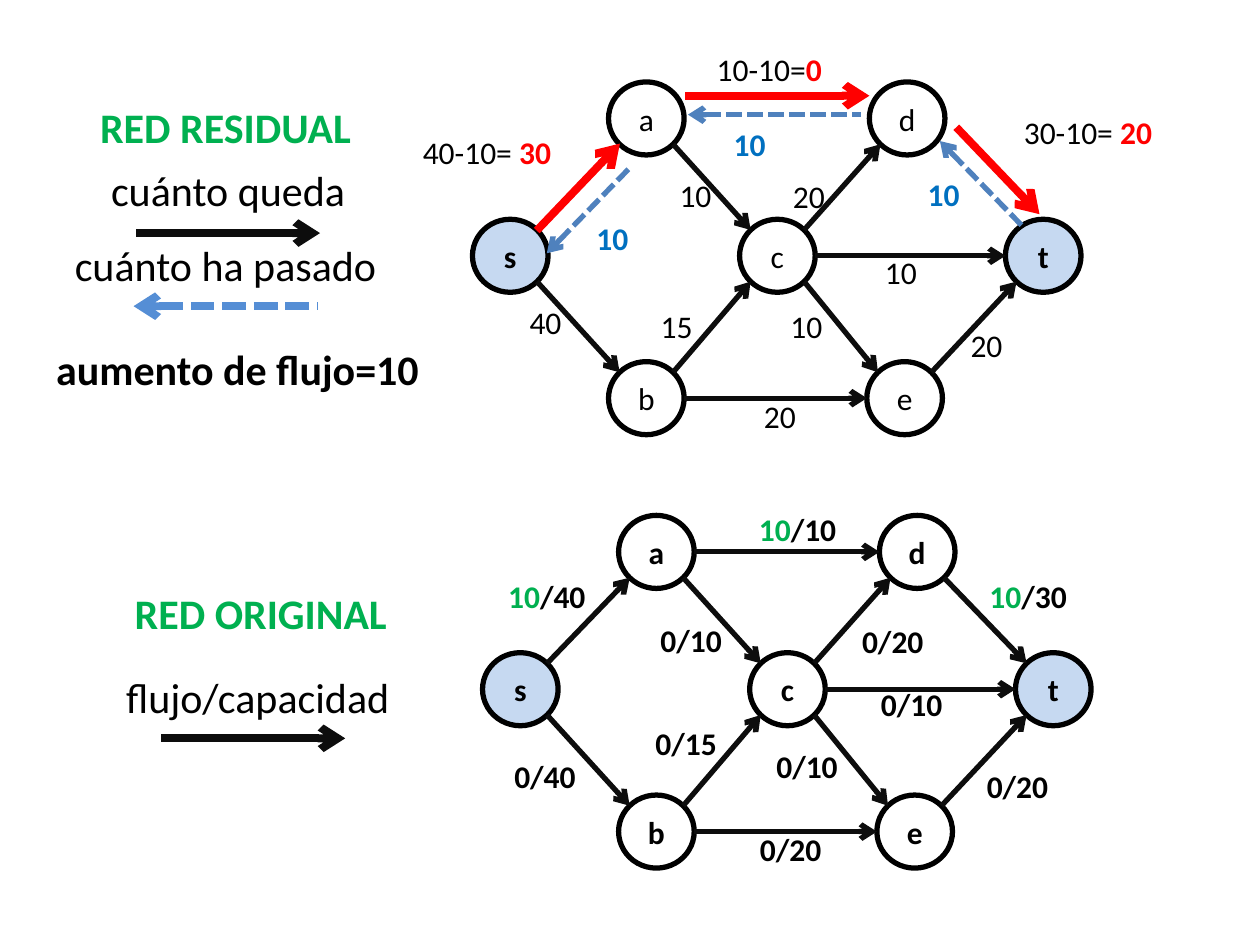
from math import hypot

from lxml import etree
from pptx import Presentation
from pptx.dml.color import RGBColor
from pptx.enum.dml import MSO_LINE
from pptx.enum.shapes import MSO_CONNECTOR, MSO_SHAPE
from pptx.enum.text import MSO_ANCHOR, PP_ALIGN
from pptx.oxml.ns import qn
from pptx.util import Inches, Pt

STRAIGHT, OVAL = MSO_CONNECTOR.STRAIGHT, MSO_SHAPE.OVAL
CENTER, MIDDLE, DASH = PP_ALIGN.CENTER, MSO_ANCHOR.MIDDLE, MSO_LINE.SQUARE_DOT

BLACK = RGBColor(0x00, 0x00, 0x00)
INK = RGBColor(0x0D, 0x0D, 0x0D)
GREEN = RGBColor(0x00, 0xB0, 0x50)
RED = RGBColor(0xFF, 0x00, 0x00)
BLUE = RGBColor(0x00, 0x70, 0xC0)
BACK_FLOW = RGBColor(0x4F, 0x81, 0xBD)
BACK_LEGEND = RGBColor(0x55, 0x8E, 0xD5)
TERMINAL = RGBColor(0xC6, 0xD9, 0xF1)

# Grid of 10 columns by 7.5 rows
WIDTH, HEIGHT = Inches(10), Inches(7.5)
COL, ROW = WIDTH / 10, HEIGHT / 7.5

# Node centres measured from the source node s
NODES = {
    "s": (0, 0), "a": (1.08, -1.09), "b": (1.08, 1.13), "c": (2.12, 0),
    "d": (3.15, -1.09), "e": (3.13, 1.13), "t": (4.23, 0),
}
EDGES = ["sa", "sb", "ad", "ac", "be", "bc", "cd", "ce", "ct", "dt", "et"]
NODE_W, NODE_H = 0.6, 0.58


def sign(value):
    return (value > 0) - (value < 0)


class FlowSlide:
    """Holds the slide and the style of its flow networks."""

    font, label_size, legend_size = "Calibri", 18, 24
    thin, thick = 3, 4.5

    def __init__(self, slide):
        self.shapes = slide.shapes

    def fill_text(self, frame, runs, size):
        """Each run is (text, colour, bold)."""
        frame.word_wrap = False
        paragraph = frame.paragraphs[0]
        paragraph.alignment = CENTER
        paragraph.font.name = self.font
        paragraph.font.size = Pt(size)
        for text, color, bold in runs:
            run = paragraph.add_run()
            run.text = text
            font = paragraph.font if len(runs) == 1 else run.font
            font.color.rgb, font.bold = color, bold

    def text(self, x, y, width, *runs, size=label_size):
        height = 0.4 if size == self.label_size else 0.5
        box = self.shapes.add_textbox(
            round(x * COL), round(y * ROW), round(width * COL), round(height * ROW))
        self.fill_text(box.text_frame, runs, size)

    def legend(self, x, y, width, text, color=BLACK, bold=False):
        self.text(x, y, width, (text, color, bold), size=self.legend_size)

    def arrow(self, start, end, color=INK, weight=thin, backward=False):
        """A backward arrow is dashed and has its head at the start."""
        arrow = self.shapes.add_connector(
            STRAIGHT, round(start[0] * COL), round(start[1] * ROW),
            round(end[0] * COL), round(end[1] * ROW))
        arrow.line.color.rgb, arrow.line.width = color, Pt(weight)
        if backward:
            arrow.line.dash_style = DASH
        properties = arrow._element.spPr
        etree.SubElement(properties.find(qn("a:ln")),
                         qn("a:headEnd" if backward else "a:tailEnd"), type="arrow")
        etree.SubElement(properties, qn("a:effectLst"))

    def node(self, center, name, bold):
        oval = self.shapes.add_shape(
            OVAL, round((center[0] - NODE_W / 2) * COL),
            round((center[1] - NODE_H / 2) * ROW),
            round(NODE_W * COL), round(NODE_H * ROW))
        oval.shadow.inherit = False
        if name in "st":
            oval.fill.solid()
            oval.fill.fore_color.rgb = TERMINAL
        else:
            oval.fill.background()
        oval.line.color.rgb, oval.line.width = BLACK, Pt(self.thin)
        oval.text_frame.vertical_anchor = MIDDLE
        self.fill_text(oval.text_frame, [(name, BLACK, bold)], self.label_size)

    def network(self, origin, edges, bold_nodes):
        centers = {name: (origin[0] + x, origin[1] + y)
                   for name, (x, y) in NODES.items()}
        for name, center in centers.items():
            self.node(center, name, name in bold_nodes)
        for tail, head in edges:
            (x1, y1), (x2, y2) = centers[tail], centers[head]
            # Edges meet the ovals at one of eight compass points
            dx, dy = sign(x2 - x1), sign(y2 - y1)
            reach_x = dx * NODE_W / 2 / hypot(dx, dy)
            reach_y = dy * NODE_H / 2 / hypot(dx, dy)
            self.arrow((x1 + reach_x, y1 + reach_y), (x2 - reach_x, y2 - reach_y))


def residual_network(flow):
    augmented = ["sa", "ad", "dt"]
    flow.network((4.05, 2.03), [e for e in EDGES if e not in augmented], "st")

    # Remaining capacity on the augmenting path
    for start, end in [((4.26, 1.83), (4.92, 1.14)), ((5.44, 0.76), (6.9, 0.76)),
                       ((7.59, 1.01), (8.25, 1.7))]:
        flow.arrow(start, end, RED, flow.thick)
    for x, y, width, operation, rest in [
            (3.25, 1.01, 1.23, "40-10= ", "30"), (5.58, 0.35, 1.05, "10-10=", "0"),
            (8.02, 0.85, 1.23, "30-10= ", "20")]:
        flow.text(x, y, width, (operation, BLACK, False), (rest, RED, True))

    # Flow that can be sent back
    for start, end in [((4.34, 2.01), (5, 1.33)), ((5.46, 0.91), (6.83, 0.91)),
                       ((7.46, 1.12), (8.12, 1.8))]:
        flow.arrow(start, end, BACK_FLOW, backward=True)
    for x, y in [(4.63, 1.69), (5.72, 0.94), (7.26, 1.34)]:
        flow.text(x, y, 0.46, ("10", BLUE, True))

    # Untouched capacities
    for x, y, capacity in [
            (5.29, 1.35, "10"), (6.92, 1.96, "10"), (7.6, 2.54, "20"),
            (4.1, 2.36, "40"), (5.96, 3.1, "20"), (5.14, 2.39, "15"),
            (6.19, 1.36, "20"), (6.17, 2.39, "10")]:
        flow.text(x, y, 0.46, (capacity, BLACK, False))

    # Legend
    flow.legend(0.58, 0.76, 2.42, "RED RESIDUAL", GREEN, True)
    flow.legend(0.77, 1.26, 2.08, "cuánto queda")
    flow.arrow((1.08, 1.85), (2.54, 1.85), weight=flow.thick)
    flow.legend(0.48, 1.85, 2.62, "cuánto ha pasado")
    flow.arrow((1.06, 2.43), (2.52, 2.43), BACK_LEGEND, flow.thick, backward=True)
    flow.legend(0.33, 2.68, 3.11, "aumento de flujo=10", bold=True)


def original_network(flow):
    flow.network((4.13, 5.47), EDGES, NODES)

    # Edges that carry flow
    for x, y, capacity in [(5.92, 4, "/10"), (3.93, 4.53, "/40"), (7.75, 4.53, "/30")]:
        flow.text(x, y, 0.82, ("10", GREEN, True), (capacity, BLACK, True))

    # Edges without flow
    for x, y, load in [
            (5.14, 4.88, "0/10"), (6.89, 5.39, "0/10"), (7.73, 6.04, "0/20"),
            (3.98, 5.96, "0/40"), (5.93, 6.54, "0/20"), (5.1, 5.7, "0/15"),
            (6.74, 4.89, "0/20"), (6.06, 5.88, "0/10")]:
        flow.text(x, y, 0.69, (load, BLACK, True))

    # Legend
    flow.legend(0.86, 4.61, 2.42, "RED ORIGINAL", GREEN, True)
    flow.legend(0.89, 5.28, 2.31, "flujo/capacidad")
    flow.arrow((1.28, 5.86), (2.74, 5.86), weight=flow.thick)


def main():
    deck = Presentation()
    deck.slide_width, deck.slide_height = WIDTH, HEIGHT
    flow = FlowSlide(deck.slides.add_slide(deck.slide_layouts[6]))
    original_network(flow)
    residual_network(flow)
    deck.save("out.pptx")


if __name__ == "__main__":
    main()
